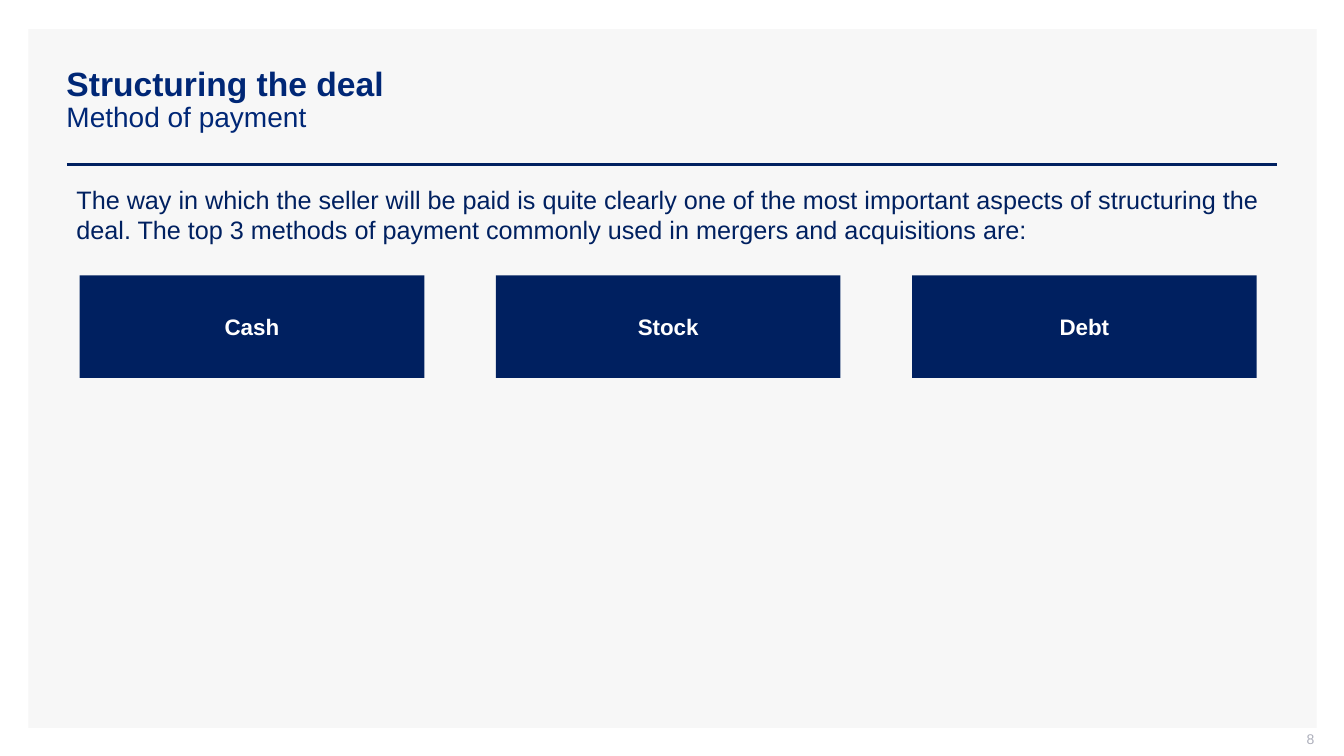
import pptx
import pptx.util
import pptx.dml.color
import pptx.enum.shapes
import pptx.enum.text
import lxml.etree

Pt = pptx.util.Pt
Align = pptx.enum.text.PP_ALIGN
Anchor = pptx.enum.text.MSO_ANCHOR
Shape = pptx.enum.shapes.MSO_SHAPE
NAVY = "002060"


def color(code):
    return pptx.dml.color.RGBColor.from_string(code)


def write(shape, lines, code, anchor, align=Align.LEFT):
    """Fill one paragraph with (text, size, bold) lines and return it."""
    frame = shape.text_frame
    frame.word_wrap = True
    frame.vertical_anchor = anchor
    para = frame.paragraphs[0]
    para.alignment = align
    for i, (text, size, bold) in enumerate(lines):
        if i:
            para.add_line_break()
        run = para.add_run()
        run.text = text
        look = {"name": "Arial", "size": Pt(size), "bold": bold}
        for key, value in look.items():
            setattr(run.font, key, value)
        run.font.color.rgb = color(code)
    return para


deck = pptx.Presentation()
deck.slide_width, deck.slide_height = Pt(960), Pt(540)
slide = deck.slides.add_slide(deck.slide_layouts[6])
shapes = slide.shapes

# Panel and header rule
panel = shapes.add_shape(Shape.RECTANGLE, Pt(20.2), Pt(20.9), Pt(920.2), Pt(499))
panel.shadow.inherit = False
panel.fill.solid()
panel.fill.fore_color.rgb = color("F7F7F7")
panel.line.fill.background()

rule = shapes.add_connector(
    pptx.enum.shapes.MSO_CONNECTOR.STRAIGHT, Pt(47.8), Pt(117.4), Pt(912.2), Pt(117.4)
)
rule.line.color.rgb = color(NAVY)
rule.line.width = Pt(2)
lxml.etree.SubElement(
    rule.element.spPr, "{http://schemas.openxmlformats.org/drawingml/2006/main}effectLst"
)

# Title, page number and lead text
title = shapes.add_textbox(Pt(40.4), Pt(28.8), Pt(872), Pt(85.7))
head = write(
    title,
    [("Structuring the deal", 24, True), ("Method of payment", 20, False)],
    "002776",
    Anchor.MIDDLE,
)
head.line_spacing = 0.9

page = shapes.add_textbox(Pt(722.9), Pt(522), Pt(216), Pt(15.1))
write(page, [("8", 10, False)], "ADAFBB", Anchor.MIDDLE, Align.RIGHT)
for side, inset in {"top": 0, "right": 0, "bottom": 3.6}.items():
    setattr(page.text_frame, f"margin_{side}", Pt(inset))

lead = shapes.add_textbox(Pt(47.5), Pt(128.2), Pt(864.7), Pt(51.1))
write(
    lead,
    [(
        "The way in which the seller will be paid is quite clearly one of the most "
        "important aspects of structuring the deal. The top 3 methods of payment "
        "commonly used in mergers and acquisitions are:",
        18,
        False,
    )],
    NAVY,
    Anchor.TOP,
)

# Payment methods
for i, name in enumerate(["Cash", "Stock", "Debt"]):
    box = shapes.add_shape(
        Shape.RECTANGLE, Pt(56.9 + 297.3 * i), Pt(196.7), Pt(246.2), Pt(73.3)
    )
    box.shadow.inherit = False
    box.fill.solid()
    box.fill.fore_color.rgb = color(NAVY)
    box.line.fill.background()
    write(box, [(name, 16, True)], "FFFFFF", Anchor.MIDDLE, Align.CENTER)

deck.save("out.pptx")
